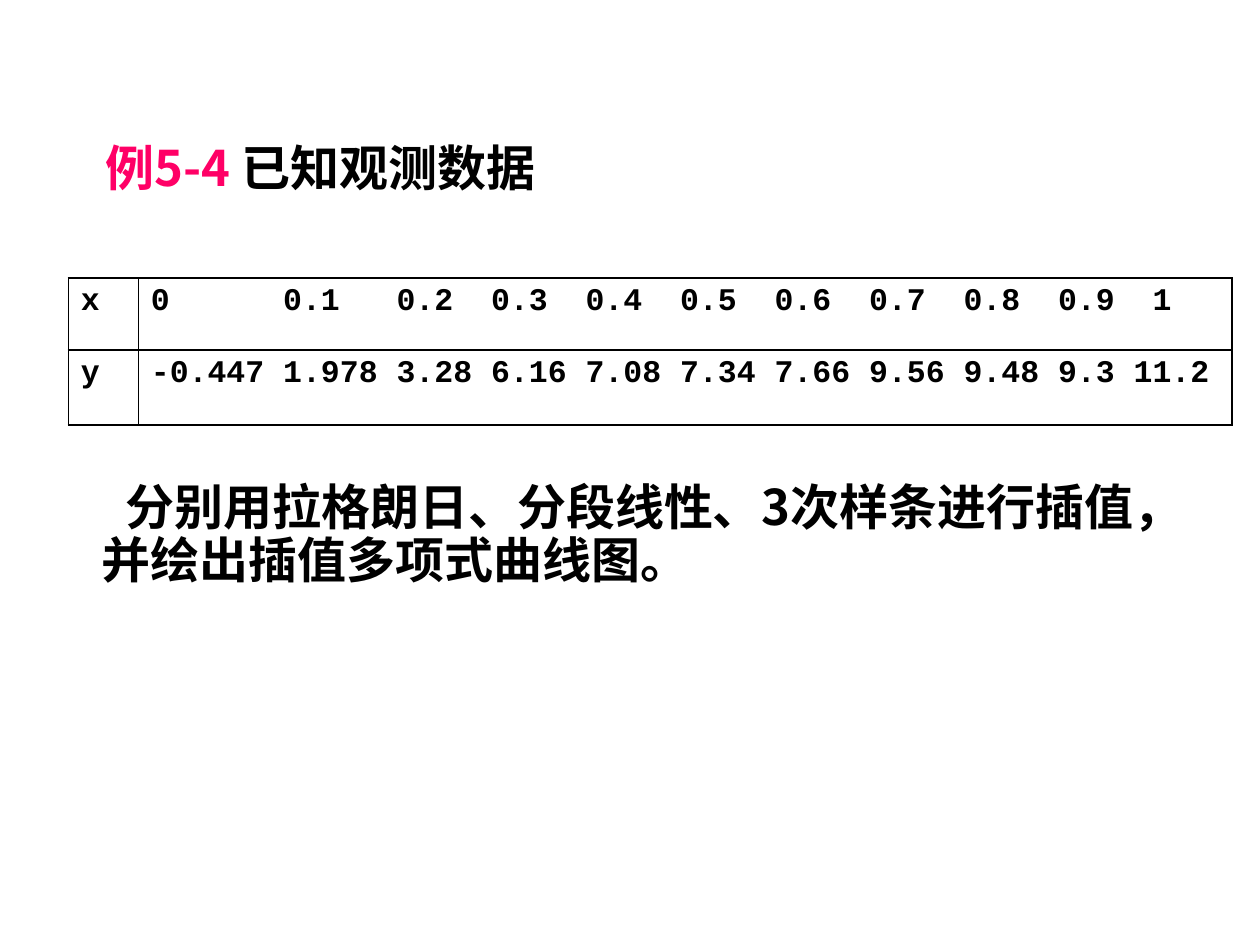
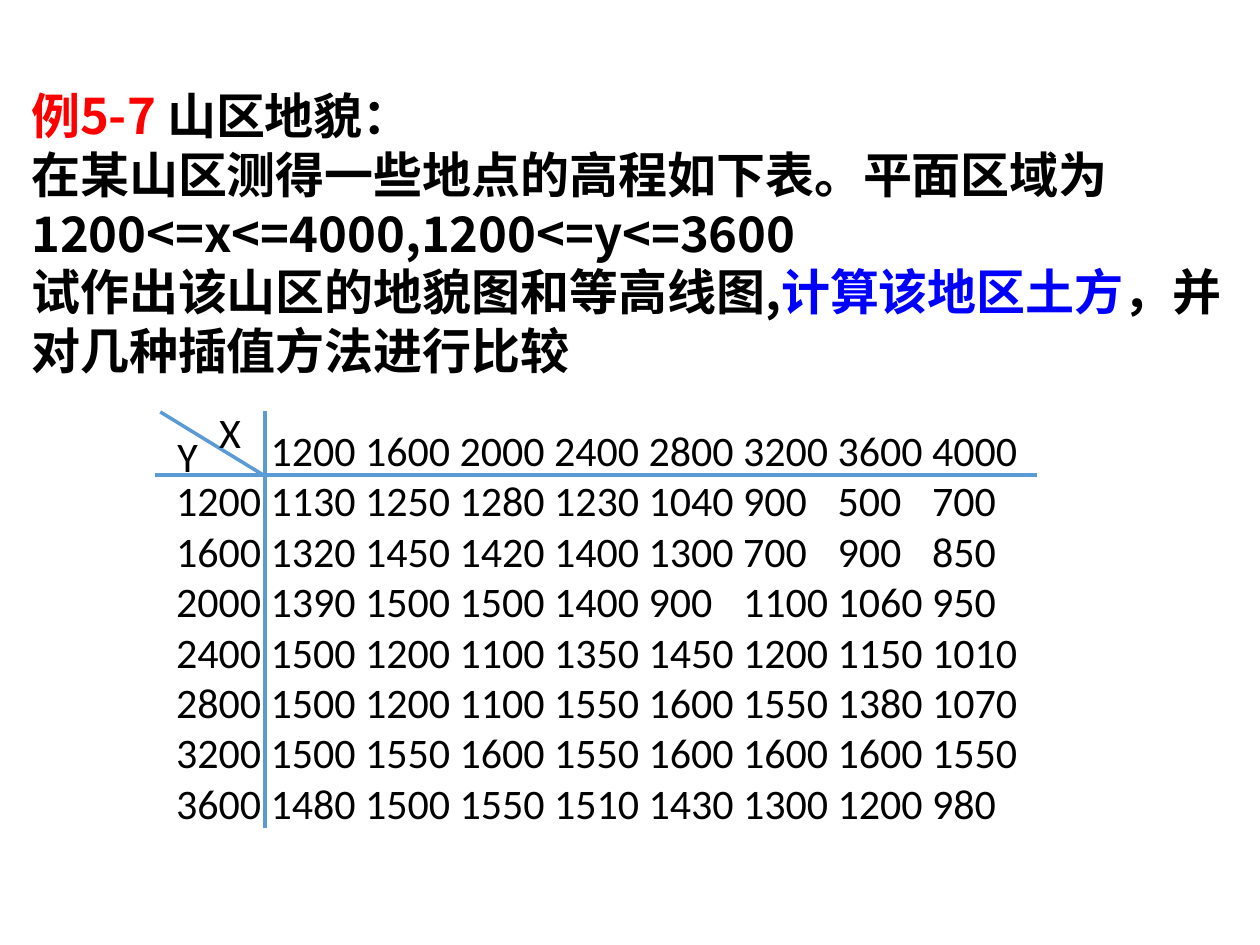
from lxml.etree import SubElement
from pptx import Presentation
from pptx.dml.color import RGBColor
from pptx.enum.shapes import MSO_CONNECTOR
from pptx.enum.text import MSO_ANCHOR, MSO_AUTO_SIZE, PP_ALIGN
from pptx.oxml.ns import qn
from pptx.util import Pt

HAN, MONO, SANS = "Noto Sans CJK SC", "Courier New", "Calibri"
BLACK, PINK, RED, BLUE, LINE = "000000", "FF0066", "FF0000", "0000FF", "5B9BD5"
XS = "0 0.1 0.2 0.3 0.4 0.5 0.6 0.7 0.8 0.9 1"
YS = "-0.447 1.978 3.28 6.16 7.08 7.34 7.66 9.56 9.48 9.3 11.2"
EAST = "1200 1600 2000 2400 2800 3200 3600 4000"
HEIGHTS = [
    "1200 1130 1250 1280 1230 1040 900 500 700",
    "1600 1320 1450 1420 1400 1300 700 900 850",
    "2000 1390 1500 1500 1400 900 1100 1060 950",
    "2400 1500 1200 1100 1350 1450 1200 1150 1010",
    "2800 1500 1200 1100 1550 1600 1550 1380 1070",
    "3200 1500 1550 1600 1550 1600 1600 1600 1550",
    "3600 1480 1500 1550 1510 1430 1300 1200 980",
]


def paint(hue):
    """Turn a hex string into a colour."""
    return RGBColor.from_string(hue)


def style(run, face, size, hue=BLACK, bold=False):
    """Set the font of a run for Latin and Chinese text."""
    font = run.font
    font.size, font.bold, font.name = Pt(size), bold, face
    font.color.rgb = paint(hue)
    SubElement(run._r.get_or_add_rPr(), qn("a:ea"), typeface=face)


def write(para, parts, pitch):
    """Fill a paragraph with bold Chinese runs given as text and colour."""
    para.alignment = PP_ALIGN.LEFT
    para.space_before = Pt(0)
    para.line_spacing = Pt(pitch)
    for text, hue in parts:
        run = para.add_run()
        run.text = text
        style(run, HAN, 28, hue, True)


def place(shape, box):
    """Move a shape to a box and return its cleared text frame."""
    shape.left, shape.top, shape.width, shape.height = map(Pt, box)
    frame = shape.text_frame
    frame.word_wrap = True
    frame.auto_size = MSO_AUTO_SIZE.NONE
    return frame


def add_text(slide, box):
    """Add a wrapping text box and return its frame."""
    return place(slide.shapes.add_textbox(0, 0, 0, 0), box)


def set_tabs(para, stops):
    """Give a paragraph left tab stops."""
    tabs = SubElement(para._p.get_or_add_pPr(), qn("a:tabLst"))
    for stop in stops:
        SubElement(tabs, qn("a:tab"), pos=str(Pt(stop)), algn="l")


def add_rim(cell):
    """Draw a thin black border round a cell without fill."""
    props = cell._tc.get_or_add_tcPr()
    for side in ("lnL", "lnR", "lnT", "lnB"):
        edge = SubElement(props, qn(f"a:{side}"), w=str(Pt(1)))
        SubElement(SubElement(edge, qn("a:solidFill")), qn("a:srgbClr"), val=BLACK)
    cell.fill.background()


def add_data(slide, box):
    """Add the table of observed x and y values."""
    left, top, width, height = box
    table = slide.shapes.add_table(2, 2, *map(Pt, box)).table
    table.first_row = table.horz_banding = False
    table.columns[0].width, table.columns[1].width = Pt(40), Pt(width - 40)
    table.rows[0].height, table.rows[1].height = Pt(41), Pt(height - 41)
    glyph = 10.8
    for row, (name, values, last) in enumerate([("x", XS, 53), ("y", YS, 52)]):
        stops = [glyph * n for n in (7, *range(13, 49, 5), last)]
        for col, text in enumerate([name, values.replace(" ", "\t")]):
            cell = table.cell(row, col)
            add_rim(cell)
            para = cell.text_frame.paragraphs[0]
            para.text = text
            if col:
                set_tabs(para, stops)
            style(para.runs[0], MONO, 18, bold=True)


def add_rule(slide, start, end):
    """Draw a plain blue line between two points."""
    rule = slide.shapes.add_connector(MSO_CONNECTOR.STRAIGHT, *map(Pt, start + end))
    rule.line.color.rgb, rule.line.width = paint(LINE), Pt(2)
    SubElement(rule._element.spPr, qn("a:effectLst"))


def add_grid(slide, box):
    """Add the table of heights as tabbed text with ruled axes."""
    left, top, width, height = box
    frame = add_text(slide, box)
    step = 54
    for row, line in enumerate([" " + EAST] + HEIGHTS):
        para = frame.add_paragraph() if row else frame.paragraphs[0]
        para.text = line.replace(" ", "\t")
        set_tabs(para, [step * n for n in range(1, 9)])
        style(para.runs[0], SANS, 24)
    across, down = left + 57.8, top + 32.4
    add_rule(slide, (across, top - 4), (across, top + 234))
    add_rule(slide, (left - 5, down), (left + 499, down))
    add_rule(slide, (left - 2, top - 3.6), (across - 1, down))
    for name, x, y in [("X", 24.5, -10), ("Y", 0.7, 3.6)]:
        label = add_text(slide, (left + x, top + y, 27, 36))
        label.word_wrap = False
        label.text = name
        style(label.paragraphs[0].runs[0], SANS, 24)


def add_observed(deck):
    """Build the slide on interpolating observed data."""
    slide = deck.slides.add_slide(deck.slide_layouts[1])
    title, body = slide.placeholders
    frame = place(title, (53.3, 70.6, 410, 53))
    frame.vertical_anchor = MSO_ANCHOR.MIDDLE
    write(frame.paragraphs[0], [("例5-4 ", PINK), ("已知观测数据", BLACK)], 30.24)
    para = place(body, (33, 272, 633, 104)).paragraphs[0]
    props = para._p.get_or_add_pPr()
    props.set("marL", str(Pt(18)))
    props.set("indent", str(Pt(13.7)))
    SubElement(props, qn("a:buNone"))
    task = "分别用拉格朗日、分段线性、3次样条进行插值，并绘出插值多项式曲线图。"
    write(para, [(task, BLACK)], 30.24)
    add_data(slide, (39, 159, 665, 84))


def add_terrain(deck):
    """Build the slide on the mountain terrain."""
    slide = deck.slides.add_slide(deck.slide_layouts[6])
    frame = add_text(slide, (10.8, 45.4, 700.6, 177))
    lines = [
        [("例5-7 ", RED), ("山区地貌：", BLACK)],
        [("在某山区测得一些地点的高程如下表。平面区域为", BLACK)],
        [("1200<=x<=4000,1200<=y<=3600", BLACK)],
        [("试作出该山区的地貌图和等高线图,", BLACK), ("计算该地区土方", BLUE),
         ("，并对几种插值方法进行比较", BLACK)],
    ]
    for row, parts in enumerate(lines):
        para = frame.add_paragraph() if row else frame.paragraphs[0]
        write(para, parts, 33.6)
    add_grid(slide, (93.6, 239, 586, 240))


def main():
    """Build and save both slides."""
    deck = Presentation()
    deck.slide_width, deck.slide_height = Pt(720), Pt(540)
    add_observed(deck)
    add_terrain(deck)
    deck.save("out.pptx")


if __name__ == "__main__":
    main()
